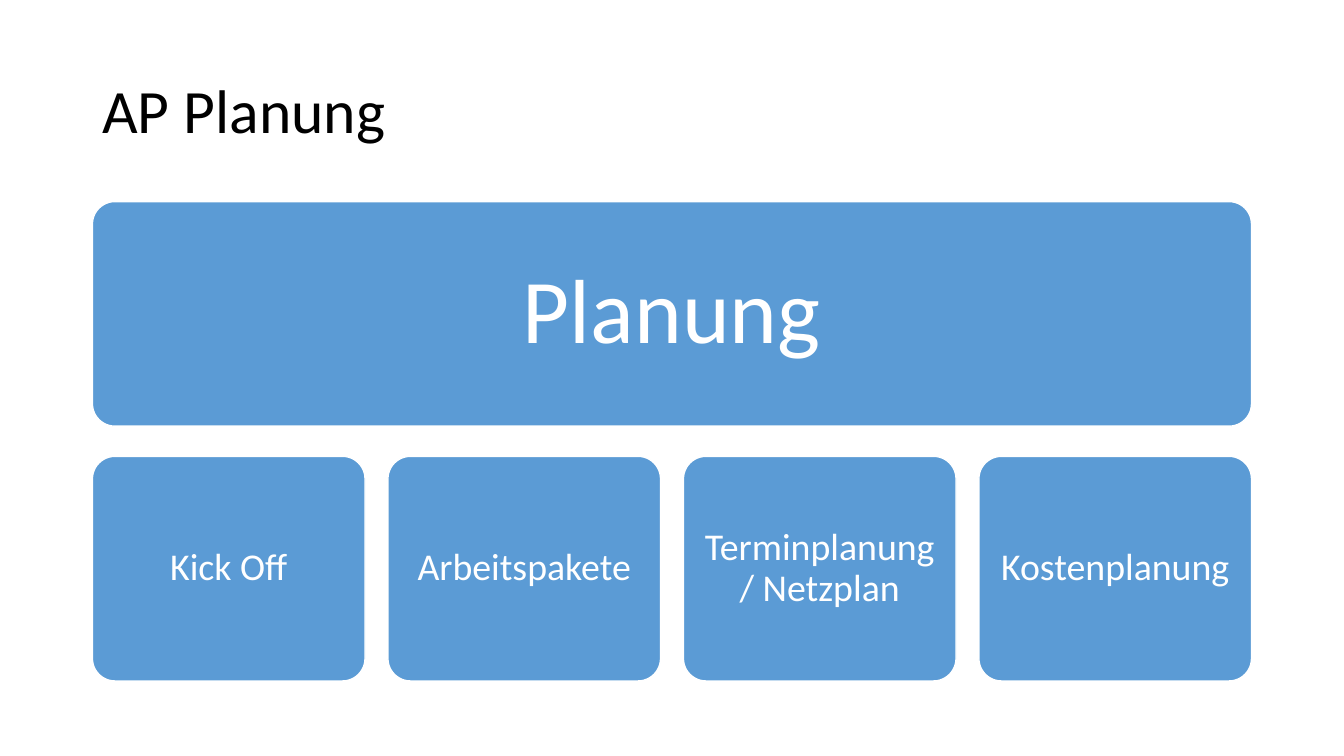
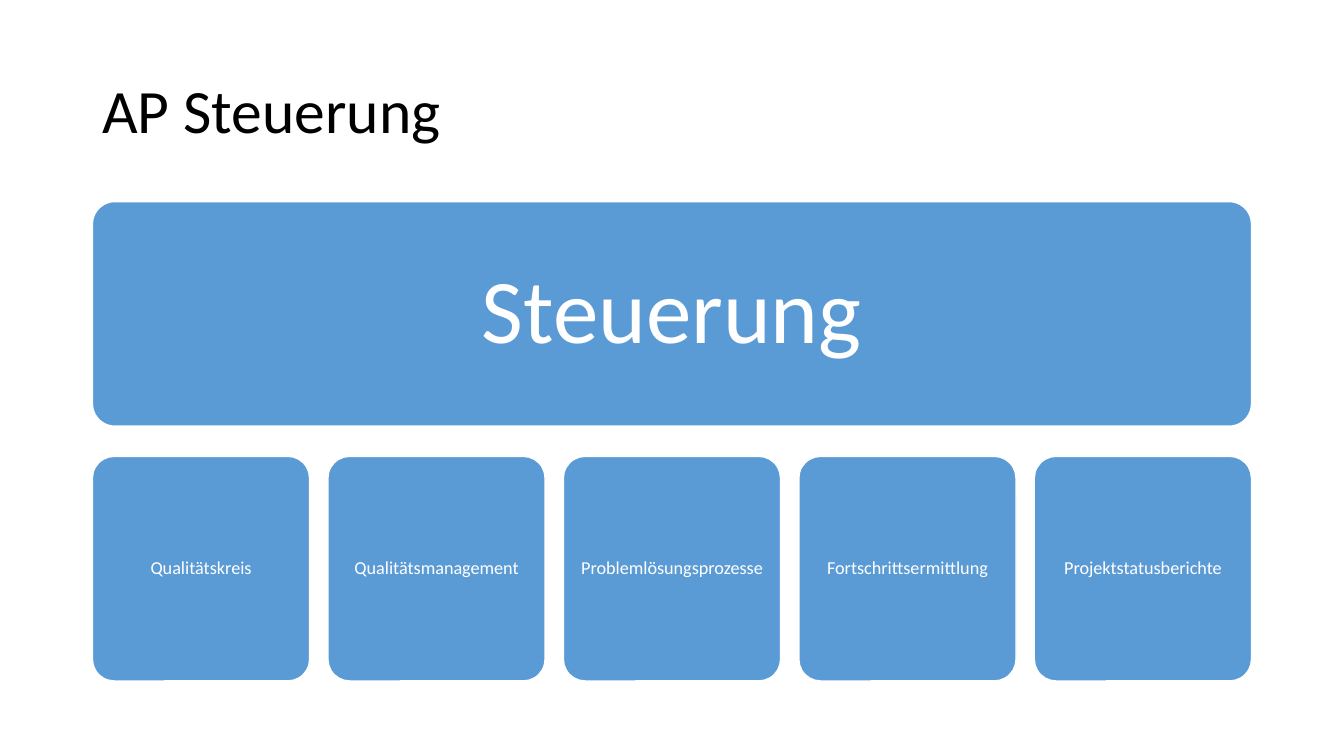
from pptx import Presentation
from pptx.dml.color import RGBColor
from pptx.enum.shapes import MSO_SHAPE as Preset
from pptx.enum.text import MSO_ANCHOR as Anchor, PP_ALIGN as Align
from pptx.util import Cm, Pt

COLORS = {"box": "5B9BD5", "edge": "FFFFFF", "title": "000000", "label": "FFFFFF"}
FONT = "Calibri"
LEFT, WIDTH = 2.33, 29.21
BANNER_TOP, ROW_TOP, BOX_HEIGHT = 5.08, 11.5, 5.66
GAP_RATIO = 0.084
BLANK_LAYOUT = 6


def color(name):
    """Return the named palette colour."""
    return RGBColor.from_string(COLORS[name])


def write(shape, text, size, color_name, align, inset=None):
    """Put one vertically centred, styled paragraph into a shape."""
    frame = shape.text_frame
    frame.text = text
    frame.word_wrap = True
    frame.vertical_anchor = Anchor.MIDDLE
    if inset is not None:
        frame.margin_left = frame.margin_right = Cm(inset)
        frame.margin_top = frame.margin_bottom = Cm(inset)
    para = frame.paragraphs[0]
    para.alignment = align
    para.line_spacing = 0.9
    font = para.runs[0].font
    font.name = FONT
    font.size = Pt(size)
    font.color.rgb = color(color_name)


def add_title(page, text):
    """Add the slide title."""
    box = page.shapes.add_textbox(Cm(LEFT), Cm(1.01), Cm(WIDTH), Cm(3.68))
    write(box, text, 44, "title", Align.LEFT)


def add_box(page, left, top, width, text, size, inset):
    """Add a rounded box with a centred label."""
    box = page.shapes.add_shape(
        Preset.ROUNDED_RECTANGLE, Cm(left), Cm(top), Cm(width), Cm(BOX_HEIGHT)
    )
    box.adjustments[0] = 0.1
    box.shadow.inherit = False
    box.fill.solid()
    box.fill.fore_color.rgb = color("box")
    box.line.color.rgb = color("edge")
    box.line.width = Pt(1)
    write(box, text, size, "label", Align.CENTER, inset)


def add_row(page, labels, size, inset):
    """Spread equal boxes over the full content width."""
    count = len(labels)
    width = WIDTH / (count + GAP_RATIO * (count - 1))
    step = width * (1 + GAP_RATIO)
    for index, label in enumerate(labels):
        add_box(page, LEFT + index * step, ROW_TOP, width, label, size, inset)


def add_phase(deck, phase, labels, size, inset):
    """Add a slide showing a project phase above its work packages."""
    page = deck.slides.add_slide(deck.slide_layouts[BLANK_LAYOUT])
    add_title(page, f"AP {phase}")
    add_box(page, LEFT, BANNER_TOP, WIDTH, phase, 65, 0.69)
    add_row(page, labels, size, inset)


def main():
    """Build and save the deck."""
    deck = Presentation()
    deck.slide_width, deck.slide_height = Cm(33.87), Cm(19.05)
    planning = ["Kick Off", "Arbeitspakete", "Terminplanung / Netzplan", "Kostenplanung"]
    control = [
        "Qualitätskreis",
        "Qualitätsmanagement",
        "Problemlösungsprozesse",
        "Fortschrittsermittlung",
        "Projektstatusberichte",
    ]
    add_phase(deck, "Planung", planning, 27, 0.27)
    add_phase(deck, "Steuerung", control, 13, 0.13)
    deck.save("out.pptx")


main()
